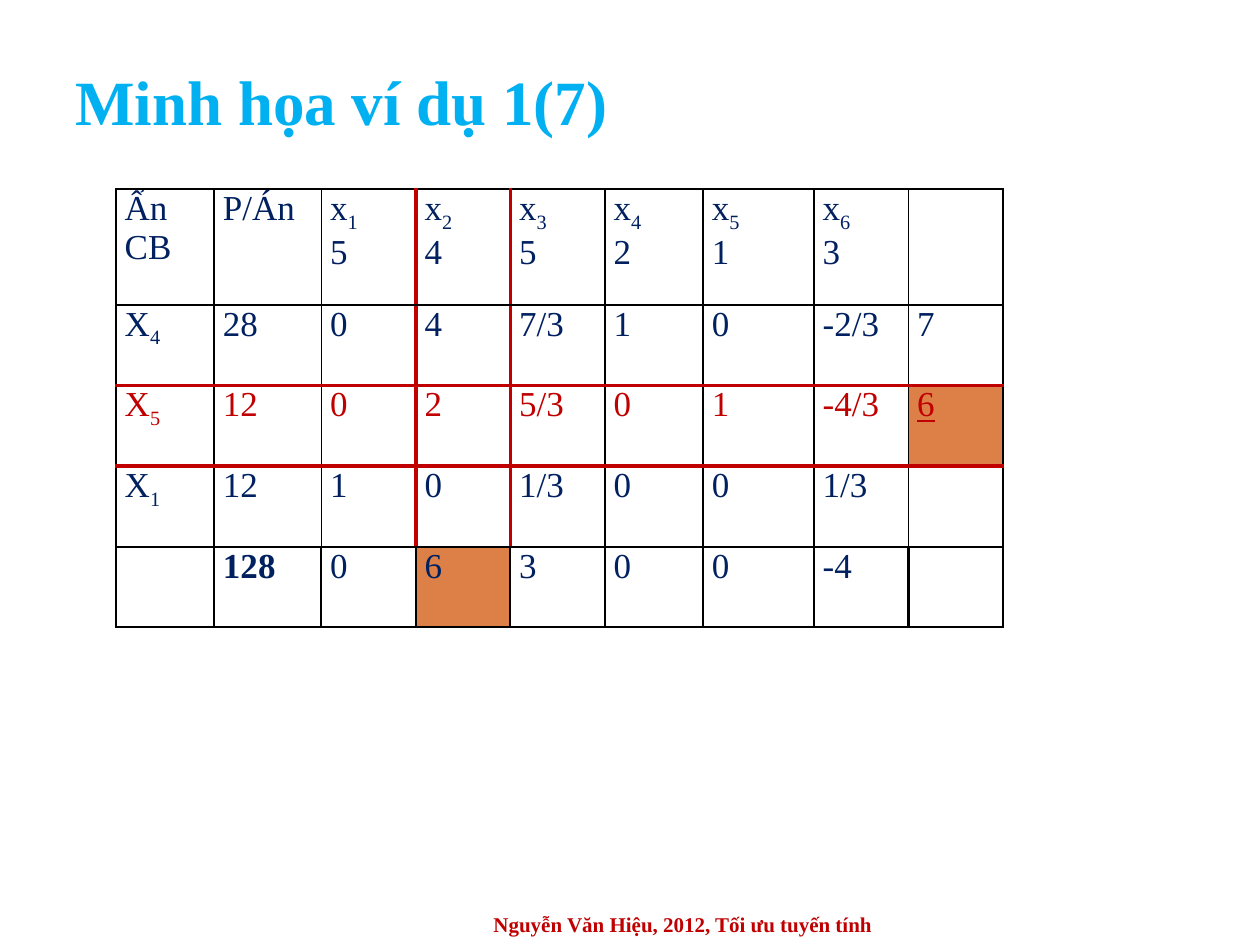
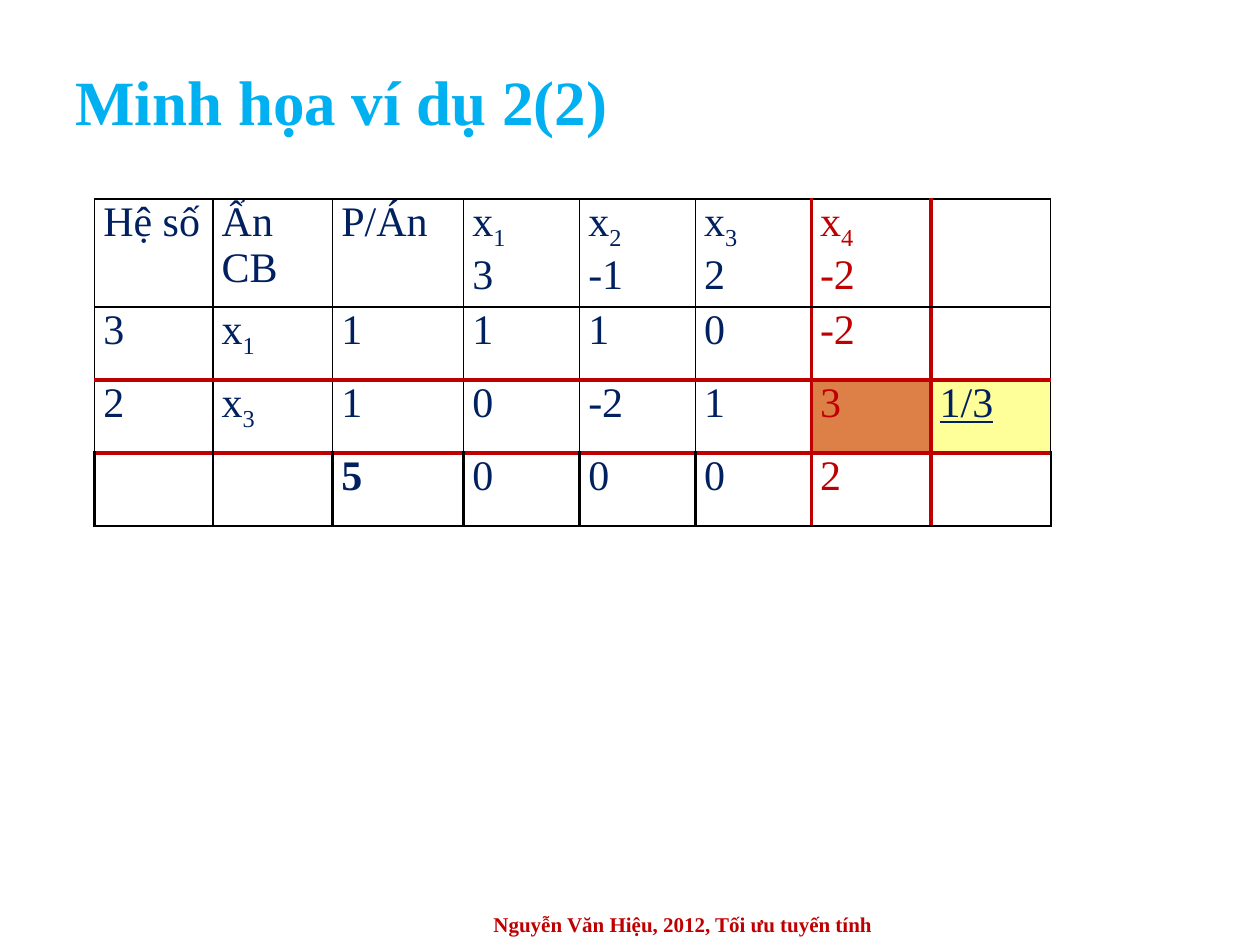
import pptx
import pptx.dml.color
import pptx.enum.text
import pptx.oxml.ns
import pptx.util
from lxml import etree

Inches = pptx.util.Inches
Pt = pptx.util.Pt
ALIGN = pptx.enum.text.PP_ALIGN
ANCHOR = pptx.enum.text.MSO_ANCHOR

FONT = "Times New Roman"
SKY, NAVY, RED, BLACK = "00B0F0", "002060", "C00000", "000000"
ORANGE, YELLOW = "DD8047", "FFFF99"
TITLE_BOX = (0.5, 0.42, 9, 0.75)
FOOTER_BOX = (2.92, 7.17, 5, 0.33)
FOOTER = "Nguyễn Văn Hiệu, 2012, Tối ưu tuyến tính"
THIN, MEDIUM, THICK = (BLACK, 1), (BLACK, 1.5), (RED, 2.25)


def rgb(value):
    return pptx.dml.color.RGBColor.from_string(value)


def write(frame, text, size=20, color=NAVY, bold=False, underline=False,
          align=ALIGN.LEFT):
    """Fill a text frame; "|" parts paragraphs and "_" starts a subscript."""
    frame.word_wrap = True
    for index, line in enumerate(text.split("|")):
        para = frame.add_paragraph() if index else frame.paragraphs[0]
        para.alignment = align
        for level, words in enumerate(line.split("_")):
            span = para.add_run()
            span.text = words
            font = span.font
            font.name, font.size = FONT, Pt(size)
            font.bold, font.underline = bold, underline
            font.color.rgb = rgb(color)
            if level:
                font._element.set("baseline", "-25000")


def add_text(page, bounds, text, **style):
    box = page.shapes.add_textbox(*map(Inches, bounds))
    box.text_frame.vertical_anchor = ANCHOR.MIDDLE
    write(box.text_frame, text, **style)


def set_border(cell, side, color, width):
    qn = pptx.oxml.ns.qn
    line = etree.SubElement(cell._tc.get_or_add_tcPr(), qn("a:ln" + side),
                            w=str(Pt(width)))
    fill = etree.SubElement(line, qn("a:solidFill"))
    etree.SubElement(fill, qn("a:srgbClr"), val=color)


def add_simplex_table(page, left, top, widths, heights, rows, size, pivot,
                      red_cells, fills, underlined, bold_cell, column_end):
    """Draw a tableau whose pivot row and column are framed in red."""
    shape = page.shapes.add_table(len(heights), len(widths), Inches(left), Inches(top),
                                  Inches(sum(widths)), Inches(sum(heights)))
    table = shape.table
    table.first_row = table.horz_banding = False
    for column, width in zip(table.columns, widths):
        column.width = Inches(width)
    for row, height in zip(table.rows, heights):
        row.height = Inches(height)

    pivot_row, pivot_column = pivot
    last = len(heights) - 1

    def vertical(row, edge):
        if edge - pivot_column in (0, 1) and row < column_end:
            return THICK
        return MEDIUM if row == last else THIN

    def horizontal(edge):
        if edge - pivot_row in (0, 1):
            return THICK
        return MEDIUM if edge >= last else THIN

    for r, texts in enumerate(rows):
        for c, text in enumerate(texts):
            cell = table.cell(r, c)
            cell.margin_left = cell.margin_right = Inches(0.07)
            cell.margin_top = cell.margin_bottom = 0
            # Borders come before the fill in the cell properties
            set_border(cell, "L", *vertical(r, c))
            set_border(cell, "R", *vertical(r, c + 1))
            set_border(cell, "T", *horizontal(r))
            set_border(cell, "B", *horizontal(r + 1))
            if (r, c) in fills:
                cell.fill.solid()
                cell.fill.fore_color.rgb = rgb(fills[r, c])
            else:
                cell.fill.background()
            if text:
                write(cell.text_frame, text, size=size, align=ALIGN.JUSTIFY,
                      color=RED if (r, c) in red_cells else NAVY,
                      bold=(r, c) == bold_cell, underline=(r, c) == underlined)


def add_page(deck, title, **tableau):
    page = deck.slides.add_slide(deck.slide_layouts[6])
    add_text(page, TITLE_BOX, title, size=36, color=SKY, bold=True)
    add_text(page, FOOTER_BOX, FOOTER, size=12, color=RED, bold=True,
             align=ALIGN.CENTER)
    add_simplex_table(page, **tableau)


def main():
    deck = pptx.Presentation()
    deck.slide_width, deck.slide_height = Inches(10), Inches(7.5)

    # Example 1: the whole pivot row is red
    add_page(
        deck, "Minh họa ví dụ 1(7)", left=0.92, top=1.5, size=20,
        widths=[0.78, 0.85, 0.75, 0.75, 0.75, 0.78, 0.88, 0.75, 0.75],
        heights=[0.92] + [0.64] * 4,
        rows=[
            ["Ẩn CB", "P/Án", "x_1|5", "x_2|4", "x_3|5", "x_4|2", "x_5|1", "x_6|3", ""],
            ["X_4", "28", "0", "4", "7/3", "1", "0", "-2/3", "7"],
            ["X_5", "12", "0", "2", "5/3", "0", "1", "-4/3", "6"],
            ["X_1", "12", "1", "0", "1/3", "0", "0", "1/3", ""],
            ["", "128", "0", "6", "3", "0", "0", "-4", ""],
        ],
        pivot=(2, 3), column_end=4, red_cells=[(2, c) for c in range(9)],
        fills={(2, 8): ORANGE, (4, 3): ORANGE}, underlined=(2, 8), bold_cell=(4, 1))

    # Example 2: the whole pivot column is red
    add_page(
        deck, "Minh họa ví dụ 2(2)", left=0.75, top=1.58, size=24,
        widths=[0.94, 0.95, 1.04, 0.92, 0.92, 0.92, 0.95, 0.95],
        heights=[0.82] + [0.58] * 3,
        rows=[
            ["Hệ số", "Ẩn CB", "P/Án", "x_1|3", "x_2|-1", "x_3|2", "x_4|-2", ""],
            ["3", "x_1", "1", "1", "1", "0", "-2", ""],
            ["2", "x_3", "1", "0", "-2", "1", "3", "1/3"],
            ["", "", "5", "0", "0", "0", "2", ""],
        ],
        pivot=(2, 6), column_end=4, red_cells=[(r, 6) for r in range(4)],
        fills={(2, 6): ORANGE, (2, 7): YELLOW}, underlined=(2, 7), bold_cell=(3, 2))

    deck.save("out.pptx")


if __name__ == "__main__":
    main()
